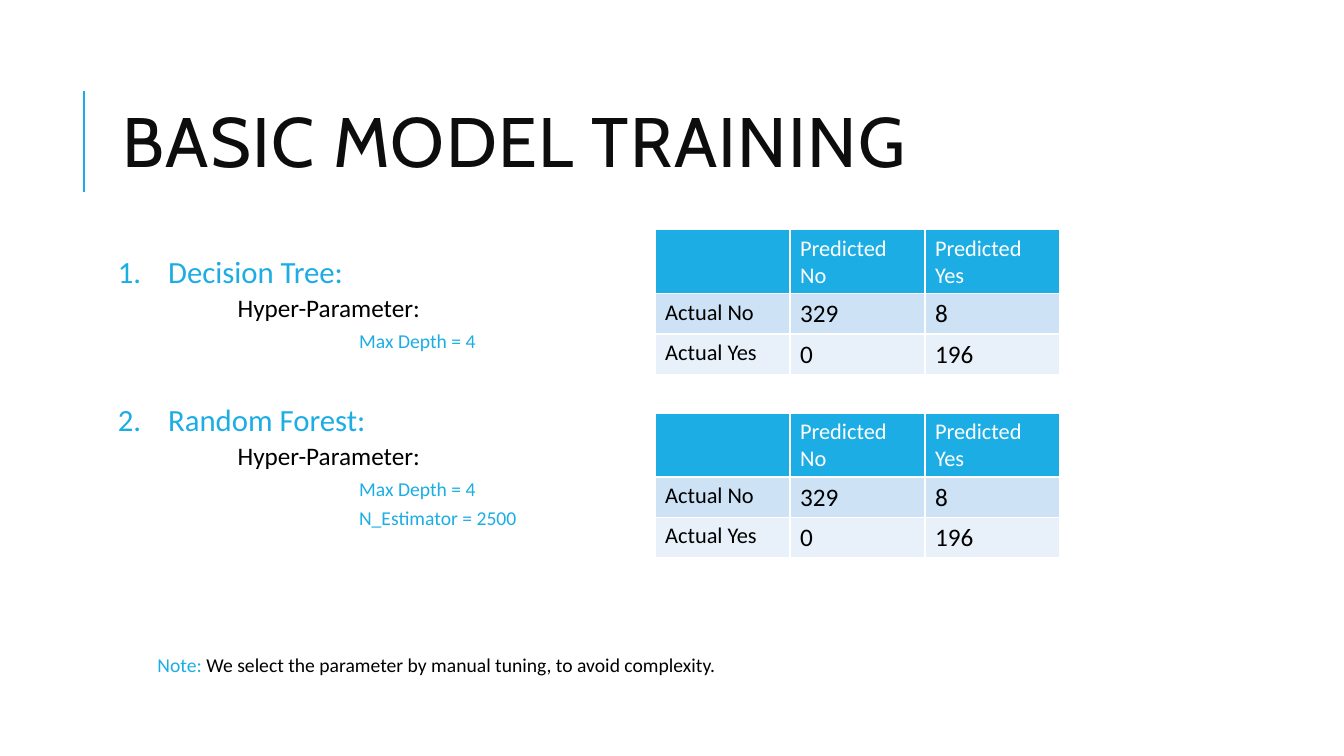
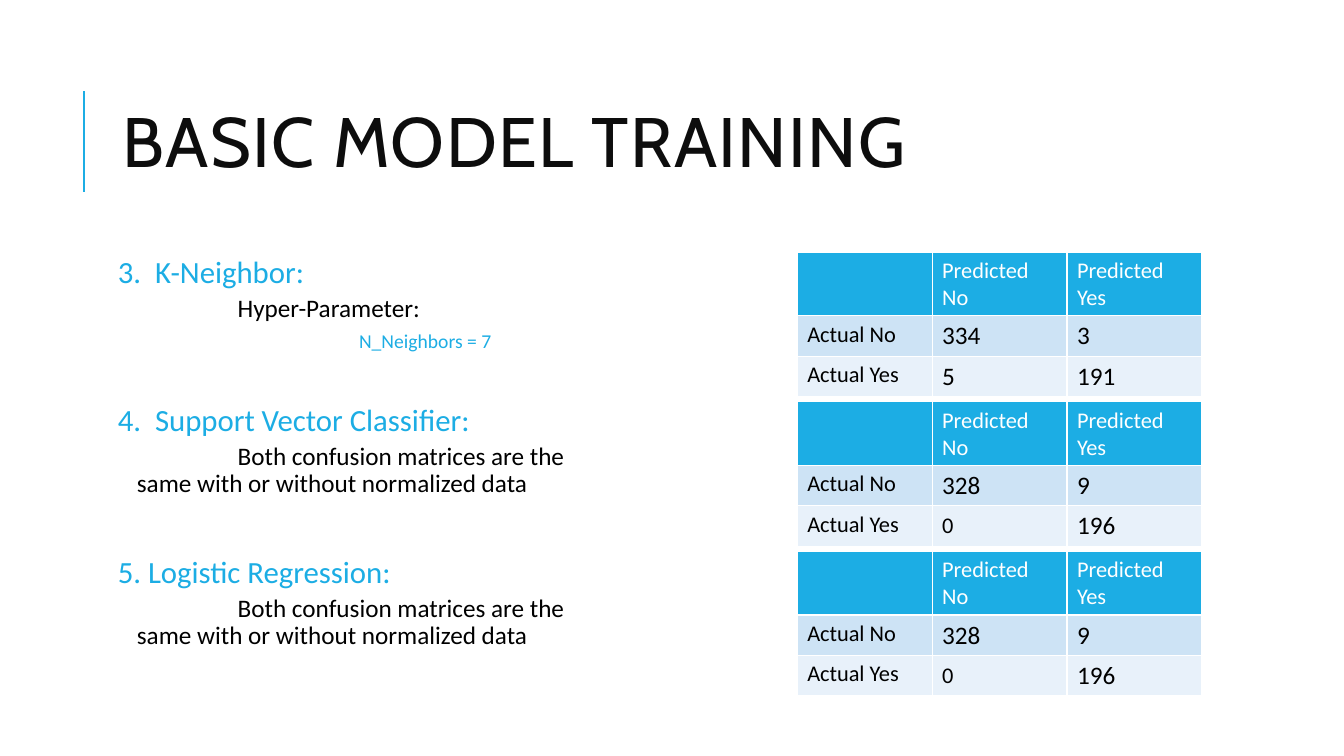
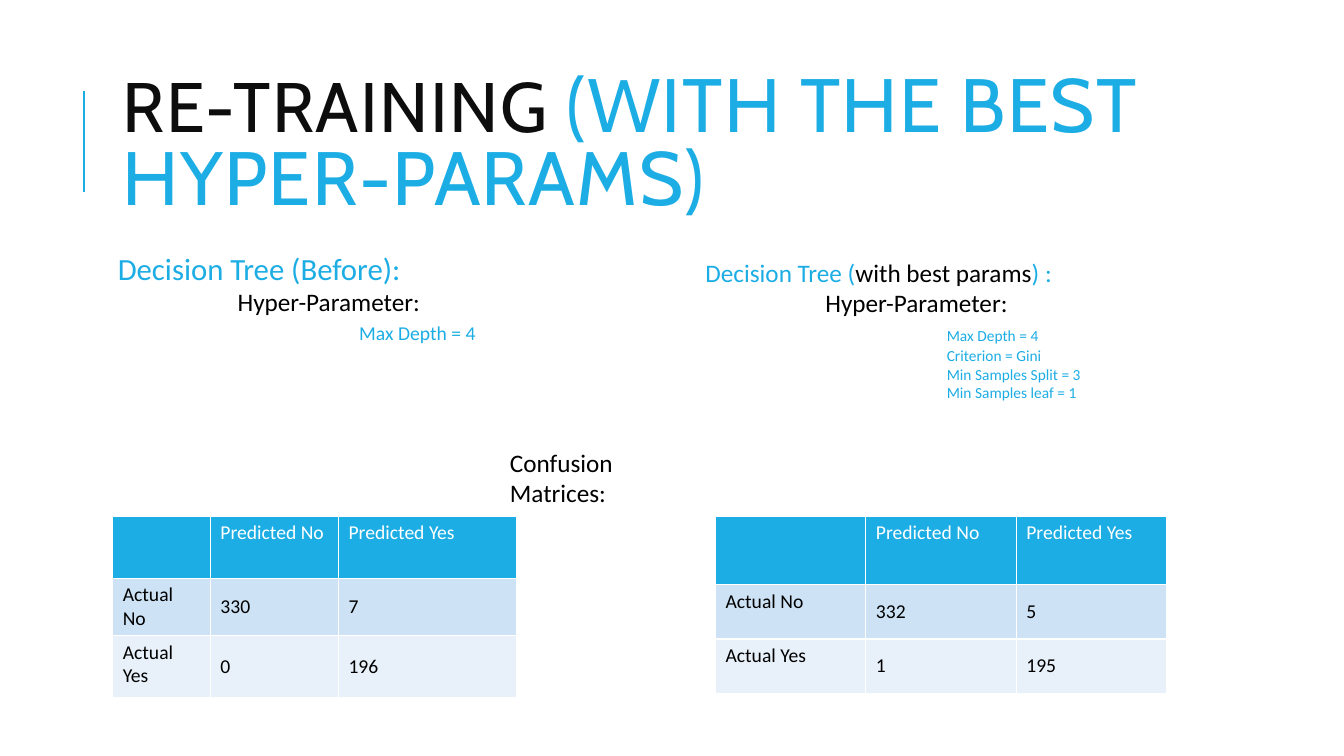
"""Builds three slides on model training and their confusion matrices."""
import lxml.etree
import pptx
import pptx.dml.color
import pptx.enum.shapes
import pptx.enum.text
import pptx.oxml.ns
import pptx.util

Cm = pptx.util.Cm
Pt = pptx.util.Pt
RGB = pptx.dml.color.RGBColor
ANCHOR = pptx.enum.text.MSO_ANCHOR
qn = pptx.oxml.ns.qn

BLUE = RGB(0x1C, 0xAD, 0xE4)
INK = RGB(0x0D, 0x0D, 0x0D)
BLACK = RGB(0x00, 0x00, 0x00)
WHITE = RGB(0xFF, 0xFF, 0xFF)
BAND_FILLS = (BLUE, RGB(0xCD, 0xE3, 0xF5), RGB(0xE8, 0xF1, 0xFA))

HEADING = dict(size=22, color=BLUE, before=12, after=2)
PARAMETER = dict(size=18, color=BLACK, before=2, after=4, margin=0.48, indent=2.54)
VALUE = dict(size=14, color=BLUE, before=2, after=4, margin=1, indent=5.08)
NUMBERED = HEADING | dict(margin=1.27, indent=-1.27)
TYPED_NUMBER = HEADING | dict(margin=0.94, indent=-0.94)
TIGHT = dict(before=0, after=0)
SMALL_VALUE = VALUE | TIGHT | dict(size=11)

TITLE = "BASIC MODEL TRAINING"
HYPER = "Hyper-Parameter:"
SAME = "Both confusion matrices are the same with or without normalized data"
BODY_LEFT, BODY_TOP = 2.84, 6.35
BODY_INSET = 0.13


def write(paragraph, text, size=18, color=BLACK, font="Calibri", tracking=0):
    run = paragraph.add_run()
    run.text = text
    run.font.name = font
    run.font.size = Pt(size)
    run.font.bold = False
    run.font.color.rgb = color
    if tracking:
        run._r.get_or_add_rPr().set("spc", str(tracking * 100))


class Deck:
    def __init__(self):
        self.show = pptx.Presentation()
        self.show.slide_width = Cm(33.87)
        self.show.slide_height = Cm(19.05)
        self.slide = None

    def add_slide(self, *title_runs):
        self.slide = self.show.slides.add_slide(self.show.slide_layouts[6])
        self.accent_rule()
        frame = self.frame(BODY_LEFT, 1.63, 27, 4.17)
        frame.vertical_anchor = ANCHOR.MIDDLE
        title = frame.paragraphs[0]
        title.line_spacing = 0.8
        for text, size, color in title_runs:
            write(title, text, size=size, color=color, font="Cabin", tracking=1)

    def accent_rule(self):
        rule = self.slide.shapes.add_connector(
            pptx.enum.shapes.MSO_CONNECTOR.STRAIGHT, Cm(2.11), Cm(4.83), Cm(2.11), Cm(2.29))
        rule.line.color.rgb = BLUE
        rule.line.width = Pt(1.5)
        lxml.etree.SubElement(rule._element.spPr, qn("a:effectLst"))

    def frame(self, left, top, width, height, inset=None):
        box = self.slide.shapes.add_textbox(Cm(left), Cm(top), Cm(width), Cm(height))
        frame = box.text_frame
        frame.word_wrap = True
        if inset is not None:
            frame.margin_left = frame.margin_right = Cm(inset)
            frame.margin_top = frame.margin_bottom = Cm(inset)
        return frame

    def body(self, left, top, width, height, lines, spacing=0.9, inset=BODY_INSET):
        frame = self.frame(left, top, width, height, inset)
        for index, (content, style) in enumerate(lines):
            paragraph = frame.add_paragraph() if index else frame.paragraphs[0]
            self.line(paragraph, content, spacing, **style)

    def line(self, paragraph, content, spacing, size, color, before, after,
             margin=0, indent=0, number=None):
        paragraph.line_spacing = spacing
        paragraph.space_before = Pt(before)
        paragraph.space_after = Pt(after)
        properties = paragraph._p.get_or_add_pPr()
        properties.set("marL", str(Cm(margin)))
        properties.set("indent", str(Cm(indent)))
        if number:
            tint = lxml.etree.SubElement(properties, qn("a:buClr"))
            lxml.etree.SubElement(tint, qn("a:srgbClr"), val=str(color))
            lxml.etree.SubElement(properties, qn("a:buAutoNum"),
                                  type="arabicPeriod", startAt=str(number))
        runs = [(content, color)] if isinstance(content, str) else content
        for text, run_color in runs:
            write(paragraph, text, size=size, color=run_color)

    def matrix(self, left, top, counts, widths=(3.4,) * 3, heights=(1.4, 0.88, 0.88),
               label_size=16, count_size=18, zero_size=None, yes="Predicted\nYes"):
        rows = [("", "Predicted No", yes),
                ("Actual No", *counts[0]),
                ("Actual Yes", *counts[1])]
        table = self.slide.shapes.add_table(
            3, 3, Cm(left), Cm(top), Cm(sum(widths)), Cm(sum(heights))).table
        table.first_row = table.horz_banding = False
        for position in range(3):
            table.columns[position].width = Cm(widths[position])
            table.rows[position].height = Cm(heights[position])
        for r, row in enumerate(rows):
            for c, value in enumerate(row):
                is_count = r > 0 and c > 0
                size = count_size if is_count else label_size
                if value == 0 and zero_size:
                    size = zero_size
                self.cell(table.cell(r, c), str(value), size, WHITE if r == 0 else BLACK,
                          BAND_FILLS[r], ANCHOR.MIDDLE if is_count else ANCHOR.TOP)

    def cell(self, cell, text, size, color, fill, anchor):
        cell.vertical_anchor = anchor
        properties = cell._tc.get_or_add_tcPr()
        for side in ("a:lnL", "a:lnR", "a:lnT", "a:lnB"):
            border = lxml.etree.SubElement(properties, qn(side), w=str(Pt(1)))
            paint = lxml.etree.SubElement(border, qn("a:solidFill"))
            lxml.etree.SubElement(paint, qn("a:srgbClr"), val=str(WHITE))
        cell.fill.solid()
        cell.fill.fore_color.rgb = fill
        if text:
            frame = cell.text_frame
            for index, part in enumerate(text.split("\n")):
                paragraph = frame.add_paragraph() if index else frame.paragraphs[0]
                write(paragraph, part, size=size, color=color)


def tree_and_forest(deck):
    deck.add_slide((TITLE, 50, INK))
    note = [("Note: ", BLUE), ("We select the parameter by manual tuning, to avoid complexity.", BLACK)]
    deck.body(BODY_LEFT, BODY_TOP, 27, 11.18, [
        ("Decision Tree:", NUMBERED | dict(number=1)),
        (HYPER, PARAMETER),
        ("Max Depth = 4", VALUE),
        ("Random Forest:", NUMBERED | dict(number=2, before=33)),
        (HYPER, PARAMETER),
        ("Max Depth = 4", VALUE),
        ("N_Estimator = 2500", VALUE),
        (note, VALUE | dict(indent=0, before=86)),
    ])
    for top in (5.79, 10.41):
        deck.matrix(16.51, top, ((329, 8), (0, 196)))


def other_classifiers(deck):
    deck.add_slide((TITLE, 50, INK))
    deck.body(BODY_LEFT, BODY_TOP, 12.42, 11.18, [
        ("3.\tK-Neighbor:", TYPED_NUMBER),
        (HYPER, PARAMETER),
        ("N_Neighbors = 7", VALUE),
        ("4.\tSupport Vector Classifier:", TYPED_NUMBER | dict(before=33)),
        (SAME, PARAMETER),
        ("5. Logistic Regression:", HEADING | dict(before=38)),
        (SAME, PARAMETER),
    ])
    results = (((334, 3), (5, 191)), ((328, 9), (0, 196)), ((328, 9), (0, 196)))
    for index, counts in enumerate(results):
        deck.matrix(20.09, BODY_TOP + index * 3.77, counts, zero_size=16)


def retraining(deck):
    deck.add_slide(("RE-TRAINING ", 50, INK), ("(WITH THE BEST HYPER-PARAMS)", 54, BLUE))
    deck.body(BODY_LEFT, BODY_TOP, 10.24, 3.76, [
        ("Decision Tree (Before):", HEADING),
        (HYPER, PARAMETER),
        ("Max Depth = 4", VALUE),
    ], spacing=0.8)
    best = [("Decision Tree (", BLUE), ("with best params", BLACK), (") :", BLUE)]
    deck.body(17.53, BODY_TOP, 12.01, 5.51, [
        (best, HEADING | TIGHT | dict(size=18)),
        (HYPER, PARAMETER | TIGHT),
        ("Max Depth = 4", SMALL_VALUE | dict(before=6, after=1.5)),
        ("Criterion = Gini", SMALL_VALUE),
        ("Min Samples Split = 3", SMALL_VALUE),
        ("Min Samples leaf = 1", SMALL_VALUE),
    ], spacing=1.0, inset=None)
    caption = deck.frame(12.6, 11.15, 5.44, 1.02)
    write(caption.paragraphs[0], "Confusion Matrices:")
    shared = dict(label_size=14, count_size=14, yes="Predicted Yes")
    deck.matrix(BODY_LEFT, 13, ((330, 7), (0, 196)), widths=(2.46, 3.23, 4.5),
                heights=(1.57, 1.3, 1.57), **shared)
    deck.matrix(18.03, 13, ((332, 5), (1, 195)), widths=(3.79,) * 3,
                heights=(1.73, 1.37, 1.37), **shared)


def main():
    deck = Deck()
    tree_and_forest(deck)
    other_classifiers(deck)
    retraining(deck)
    deck.show.save("out.pptx")


if __name__ == "__main__":
    main()
